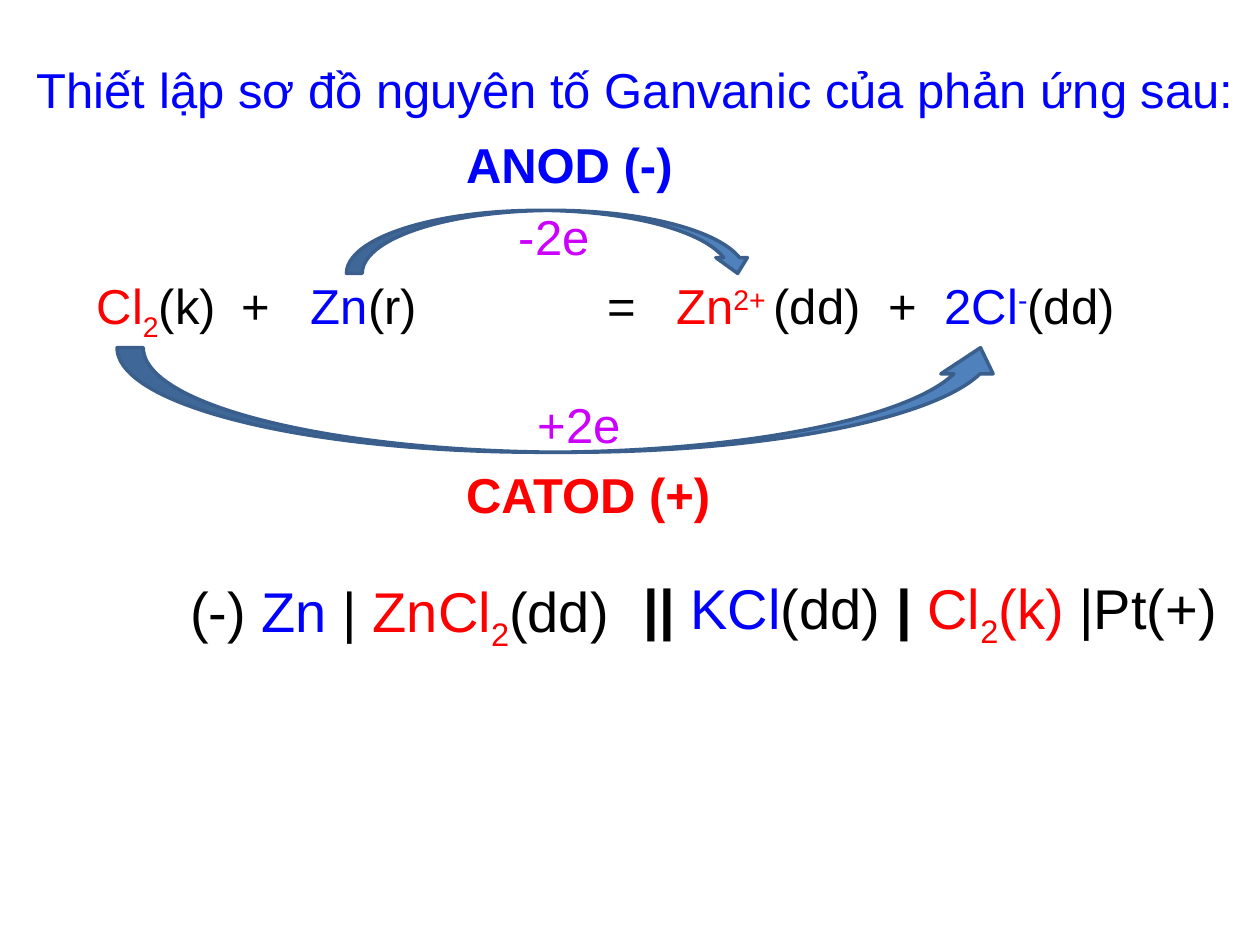
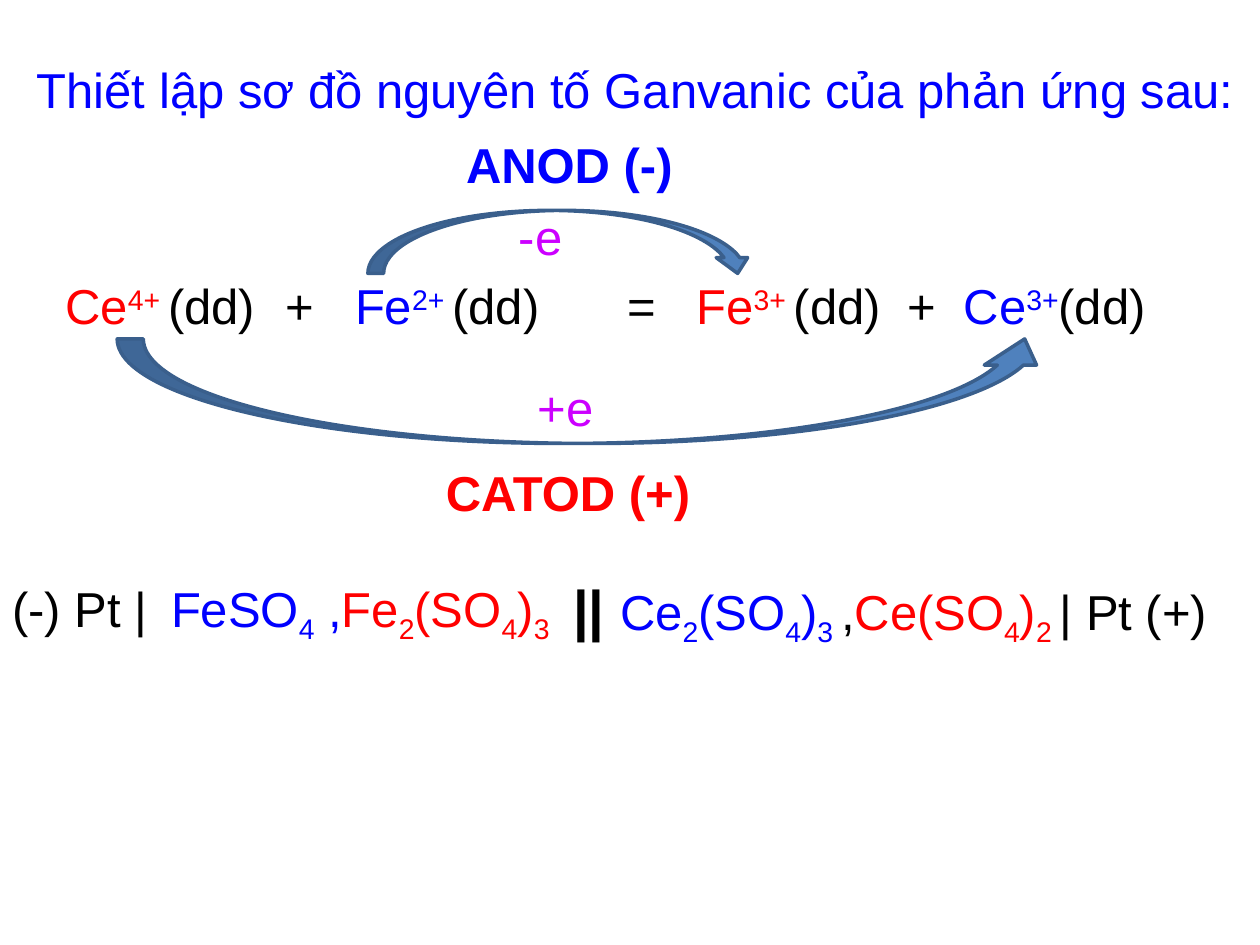
from dataclasses import dataclass
from itertools import groupby
from typing import NamedTuple

import pptx
import pptx.dml.color
import pptx.enum.shapes
import pptx.enum.text
import pptx.oxml.ns
import pptx.util
from lxml import etree

COLUMNS, ROWS = 100, 75  # page grid
WIDTH, HEIGHT = pptx.util.Inches(10), pptx.util.Inches(7.5)
TITLE_ONLY = 5


@dataclass(frozen=True)
class Theme:
    font: str = "Arial"
    size: int = 28
    large: int = 32
    blue: str = "0000FF"
    red: str = "FF0000"
    black: str = "000000"
    electron: str = "CC00FF"
    arrow_fill: str = "4F81BD"
    arrow_line: str = "3A5F8C"
    line_width: int = 2
    subscript: int = -25000
    superscript: int = 30000


THEME = Theme()
TITLE = "Thiết lập sơ đồ nguyên tố Ganvanic của phản ứng sau:"


class Box(NamedTuple):
    """Place on the grid, in columns and rows."""
    left: float
    top: float
    width: float
    height: float

    def lengths(self) -> tuple[int, int, int, int]:
        column, row = WIDTH / COLUMNS, HEIGHT / ROWS
        return (round(self.left * column), round(self.top * row),
                round(self.width * column), round(self.height * row))


class Span(NamedTuple):
    text: str
    color: str = THEME.black
    size: int = THEME.size
    bold: bool = False
    baseline: int = 0


class Label(NamedTuple):
    box: Box
    spans: list[Span]
    tabs: tuple[float, ...] = ()  # columns from the text edge


class Arrow(NamedTuple):
    box: Box
    kind: pptx.enum.shapes.MSO_SHAPE


class Cell(NamedTuple):
    """Everything that differs between the two galvanic cells."""
    reaction: Label
    reduction: Arrow
    gained: Label
    cathode: Box
    right_half: Label
    lost: str
    left_half: Label
    oxidation: Arrow


def formula(text: str, color: str, size: int = THEME.size) -> list[Span]:
    """Set digits, and a space that follows one, as subscripts."""
    parts = groupby(text, lambda char: char.isdigit() or char == " ")
    return [Span("".join(chars), color, size, baseline=THEME.subscript if low else 0)
            for low, chars in parts]


def ion(symbol: str, charge: str, color: str) -> list[Span]:
    return [Span(symbol, color), Span(charge, color, baseline=THEME.superscript)]


def rgb(color: str) -> pptx.dml.color.RGBColor:
    return pptx.dml.color.RGBColor.from_string(color)


def write(para, spans: list[Span]) -> None:
    for span in spans:
        run = para.add_run()
        run.text = span.text
        font = run.font
        font.name, font.size, font.bold = THEME.font, pptx.util.Pt(span.size), span.bold
        font.color.rgb = rgb(span.color)
        if span.baseline:
            run._r.get_or_add_rPr().set("baseline", str(span.baseline))


def set_tabs(para, stops: tuple[float, ...]) -> None:
    tag = pptx.oxml.ns.qn
    tab_list = etree.SubElement(para._p.get_or_add_pPr(), tag("a:tabLst"))
    for stop in stops:
        position = str(round(stop * WIDTH / COLUMNS))
        etree.SubElement(tab_list, tag("a:tab"), pos=position, algn="l")


def draw_title(page) -> None:
    title = page.shapes.title
    title.left, title.top, title.width, title.height = Box(0.8, 0.8, 99.2, 12.5).lengths()
    frame = title.text_frame
    frame.auto_size = pptx.enum.text.MSO_AUTO_SIZE.NONE
    frame.vertical_anchor = pptx.enum.text.MSO_ANCHOR.MIDDLE
    write(frame.paragraphs[0], [Span(TITLE, THEME.blue)])


def draw_label(page, label: Label) -> None:
    frame = page.shapes.add_textbox(*label.box.lengths()).text_frame
    frame.word_wrap = True
    para = frame.paragraphs[0]
    if label.tabs:
        set_tabs(para, label.tabs)
    write(para, label.spans)


def draw_arrow(page, arrow: Arrow) -> None:
    shape = page.shapes.add_shape(arrow.kind, *arrow.box.lengths())
    shape.shadow.inherit = False
    shape.fill.solid()
    shape.fill.fore_color.rgb = rgb(THEME.arrow_fill)
    shape.line.color.rgb = rgb(THEME.arrow_line)
    shape.line.width = pptx.util.Pt(THEME.line_width)


def draw_cell(deck, cell: Cell) -> None:
    page = deck.slides.add_slide(deck.slide_layouts[TITLE_ONLY])
    draw_title(page)
    draw_label(page, cell.reaction)
    # Cathode: reduction below the equation
    draw_arrow(page, cell.reduction)
    draw_label(page, cell.gained)
    draw_label(page, Label(cell.cathode, [Span("CATOD (+)", THEME.red, bold=True)]))
    draw_label(page, cell.right_half)
    # Anode: oxidation above the equation
    draw_label(page, Label(Box(40.2, 15.9, 11.5, 5.7), [Span(cell.lost, THEME.electron)]))
    draw_label(page, Label(Box(36, 10.2, 23.8, 5.7),
                           [Span("ANOD (-)", THEME.blue, bold=True)]))
    draw_label(page, cell.left_half)
    draw_arrow(page, cell.oxidation)


UP = pptx.enum.shapes.MSO_SHAPE.CURVED_UP_ARROW
DOWN = pptx.enum.shapes.MSO_SHAPE.CURVED_DOWN_ARROW
BRIDGE = Span("|| ", size=THEME.large, bold=True)

ZINC_CHLORINE = Cell(
    reaction=Label(
        Box(6.7, 21.4, 91.7, 10),
        [*formula("Cl2", THEME.red), Span("(k)\t+\t"), Span("Zn", THEME.blue),
         Span("(r)\t=\t"), *ion("Zn", "2+ ", THEME.red), Span("(dd)\t+\t"),
         *ion("2Cl", "-", THEME.blue), Span("(dd)")],
        tabs=(11.5, 17, 40.5, 46, 62.8, 67.3)),
    reduction=Arrow(Box(9.3, 27.6, 70.6, 8.3), UP),
    gained=Label(Box(41.7, 30.8, 11, 5.7), [Span("+2e", THEME.electron)]),
    cathode=Box(36, 36.4, 23.8, 5.7),
    right_half=Label(
        Box(50.1, 45, 49.1, 6.4),
        [BRIDGE, Span("KCl", THEME.blue, THEME.large), Span("(dd) ", size=THEME.large),
         Span("| ", size=THEME.large, bold=True),
         *formula("Cl2", THEME.red, THEME.large), Span("(k)", THEME.red, THEME.large),
         Span(" |Pt(+)", size=THEME.large)]),
    lost="-2e",
    left_half=Label(
        Box(14.1, 45.3, 36.1, 6.4),
        [Span("(-) ", size=THEME.large), Span("Zn ", THEME.blue, THEME.large),
         Span("| ", size=THEME.large), *formula("ZnCl2", THEME.red, THEME.large),
         Span("(dd)", size=THEME.large)]),
    oxidation=Arrow(Box(27.5, 16.7, 32.3, 5), DOWN),
)

IRON_CERIUM = Cell(
    reaction=Label(
        Box(4.2, 21.4, 94.2, 10),
        [*ion("Ce", "4+ ", THEME.red), Span("(dd)\t+\t"),
         *ion("Fe", "2+ ", THEME.blue), Span("(dd)\t=\t"),
         *ion("Fe", "3+ ", THEME.red), Span("(dd)\t+\t"),
         *ion("Ce", "3+", THEME.blue), Span("(dd)")],
        tabs=(17.5, 23, 44.6, 50.1, 66.8, 71.3)),
    reduction=Arrow(Box(9.3, 26.9, 74.1, 8.3), UP),
    gained=Label(Box(41.7, 29.5, 11, 5.7), [Span("+e", THEME.electron)]),
    cathode=Box(34.4, 36.2, 23.8, 5.7),
    right_half=Label(
        Box(44.5, 45.1, 55.3, 6.4),
        [BRIDGE, *formula("Ce2(SO4)3 ", THEME.blue), Span(","),
         *formula("Ce(SO4)2 ", THEME.red), Span("| Pt (+)")]),
    lost="-e",
    left_half=Label(
        Box(0, 45.4, 53.3, 5.7),
        [Span("(-) Pt |\t"), *formula("FeSO4", THEME.blue), Span(" ,", THEME.blue),
         *formula("Fe2(SO4)3", THEME.red)],
        tabs=(12.6,)),
    oxidation=Arrow(Box(29.2, 16.7, 30.6, 5), DOWN),
)


def main() -> None:
    deck = pptx.Presentation()
    deck.slide_width, deck.slide_height = WIDTH, HEIGHT
    for cell in (ZINC_CHLORINE, IRON_CERIUM):
        draw_cell(deck, cell)
    deck.save("out.pptx")


if __name__ == "__main__":
    main()
